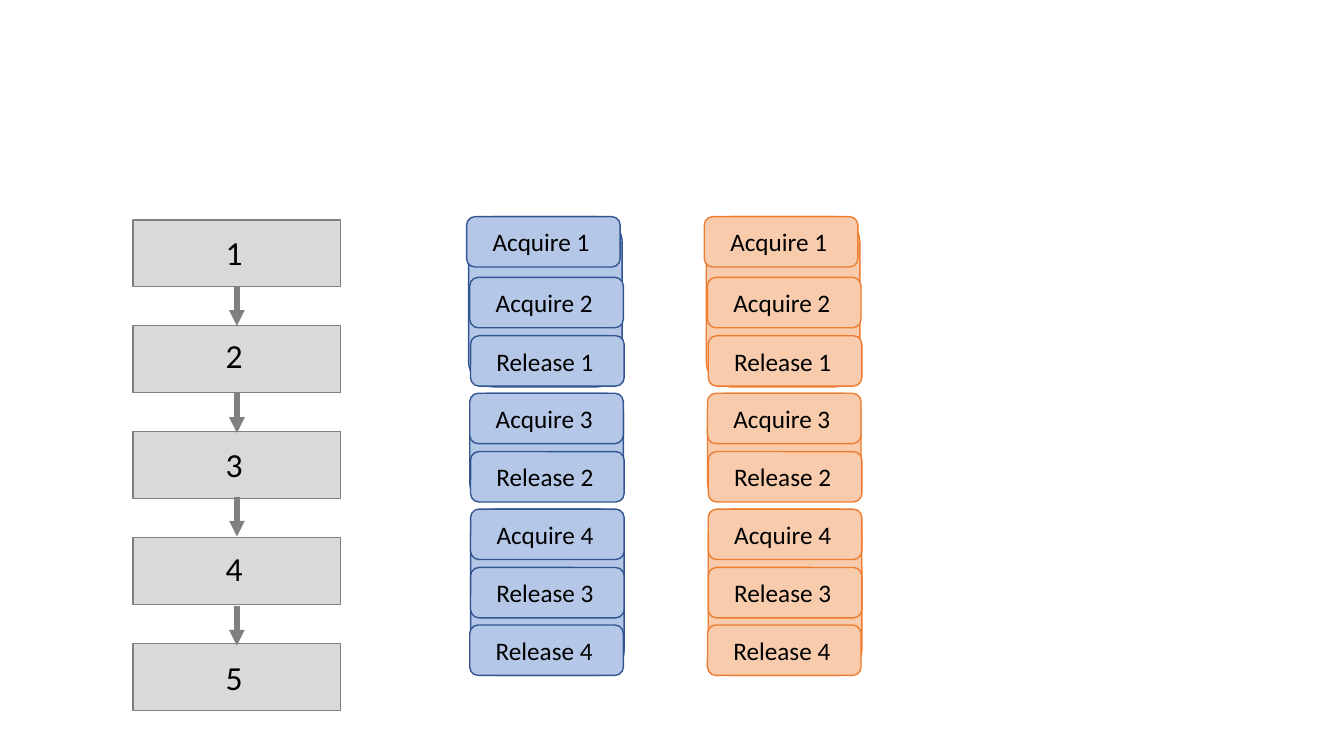
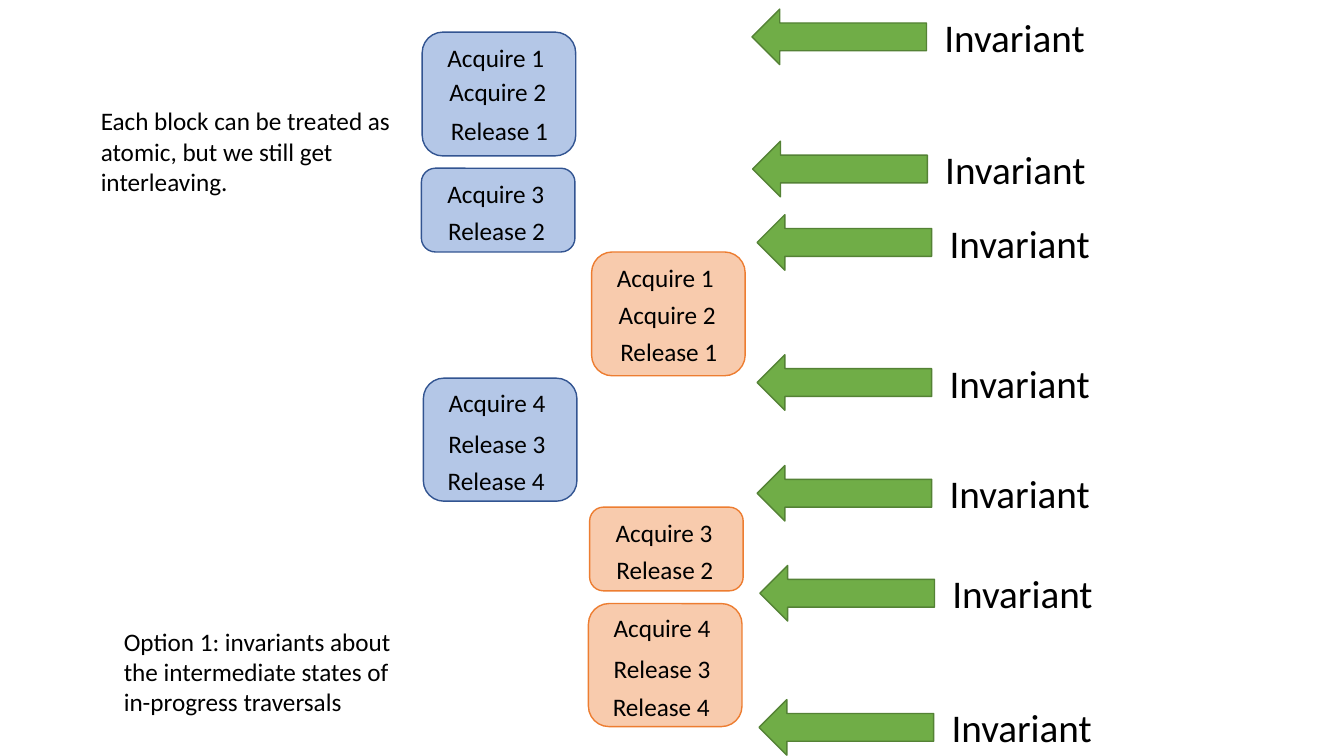
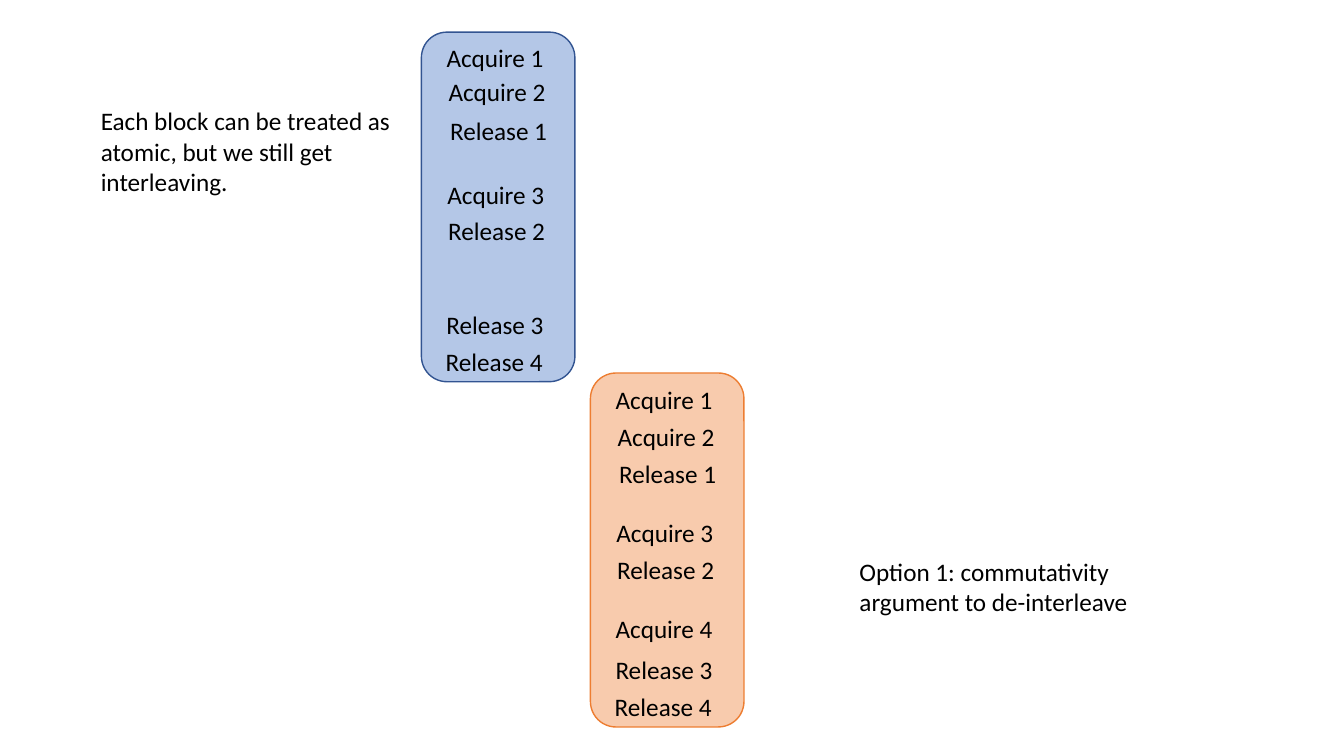
import lxml.etree
import pptx
import pptx.dml.color
import pptx.enum.shapes
import pptx.enum.text
import pptx.oxml.ns
import pptx.util

Cm = pptx.util.Cm
SHAPE = pptx.enum.shapes.MSO_SHAPE
ALIGN = pptx.enum.text.PP_ALIGN

COLORS = {
    "text": "000000",
    "blue": "B4C7E7", "blue line": "325491",
    "orange": "F8CBAD", "orange line": "ED7D31",
    "gray": "D9D9D9", "gray line": "808080",
    "green": "70AD47", "green line": "548235",
}
FONT = "Calibri"
BLOCK_WIDTH = 3.87
PILL_HEIGHT = 1.27

# Horizontal shift of each label from the left edge of its block
LABEL_SHIFTS = {
    "Acquire 1": -0.27, "Acquire 2": -0.22, "Release 1": -0.18,
    "Acquire 3": -0.25, "Release 2": -0.23,
    "Acquire 4": -0.27, "Release 3": -0.27, "Release 4": -0.29,
}
OPERATIONS = list(LABEL_SHIFTS)
FIRST, SECOND, THIRD = OPERATIONS[:3], OPERATIONS[3:5], OPERATIONS[5:]


def rgb(name):
    return pptx.dml.color.RGBColor.from_string(COLORS[name])


def add_text(shapes, text, x, y, width, height, size=18, align=ALIGN.LEFT):
    box = shapes.add_textbox(Cm(x), Cm(y), Cm(width), Cm(height))
    box.text_frame.word_wrap = True
    para = box.text_frame.paragraphs[0]
    para.alignment = align
    span = para.add_run()
    span.text = text
    span.font.name = FONT
    span.font.size = pptx.util.Pt(size)
    span.font.color.rgb = rgb("text")


def add_shape(shapes, kind, color, x, y, width, height):
    shape = shapes.add_shape(kind, Cm(x), Cm(y), Cm(width), Cm(height))
    shape.shadow.inherit = False
    shape.fill.solid()
    shape.fill.fore_color.rgb = rgb(color)
    shape.line.color.rgb = rgb(color + " line")
    shape.line.width = pptx.util.Pt(1)


def add_down_arrow(shapes, x, y, length):
    arrow = shapes.add_connector(
        pptx.enum.shapes.MSO_CONNECTOR.STRAIGHT, Cm(x), Cm(y), Cm(x), Cm(y + length))
    arrow.line.color.rgb = rgb("gray line")
    arrow.line.width = pptx.util.Pt(3.75)
    qn = pptx.oxml.ns.qn
    lxml.etree.SubElement(arrow.line._get_or_add_ln(), qn("a:tailEnd"), type="triangle")
    lxml.etree.SubElement(arrow._element.spPr, qn("a:effectLst"))


def add_label(shapes, text, x, y):
    add_text(shapes, text, x, y, 4.25, 1.02, align=ALIGN.CENTER)


def add_note(shapes, text, x, y, height=2.57):
    add_text(shapes, text, x, y, 7.87, height)


def add_rounded(shapes, color, x, y, height):
    add_shape(shapes, SHAPE.ROUNDED_RECTANGLE, color, x, y, BLOCK_WIDTH, height)


def add_block(shapes, color, x, y, height, labels, offsets):
    """Draw an atomic block, each label at its offset below the top."""
    add_rounded(shapes, color, x, y, height)
    for label, offset in zip(labels, offsets):
        add_label(shapes, label, x + LABEL_SHIFTS[label], y + offset)


def add_invariant(shapes, x, y):
    add_shape(shapes, SHAPE.LEFT_ARROW, "green", x, y, 4.4, 1.4)
    add_text(shapes, "Invariant", x + 4.6, y - 0.02, 5.82, 1.45, size=28)


def add_steps(shapes):
    number_tops = [5.72, 8.31, 11.07, 13.67, 16.43]
    for index, number_top in enumerate(number_tops):
        add_shape(shapes, SHAPE.RECTANGLE, "gray", 3.35, 5.54 + 2.67 * index, 5.23, 1.68)
        add_text(shapes, str(index + 1), 5.44, number_top, 1.22, 1.27, size=24)
    for y in (7.21, 9.91, 12.52, 15.27):
        add_down_arrow(shapes, 5.97, y, 1)


def add_thread(shapes, color, x):
    """Draw one column of operations over the blocks that hold them."""
    for shift, y, height in ((0.05, 5.46, 4.29), (0.08, 9.91, 2.72), (0.1, 12.83, 4.19)):
        add_rounded(shapes, color, x + shift, y, height)
    shifts = [0, 0.08, 0.1, 0.08, 0.1, 0.1, 0.1, 0.08]
    tops = [5.46, 6.99, 8.46, 9.91, 11.38, 12.83, 14.3, 15.75]
    for label, shift, y in zip(OPERATIONS, shifts, tops):
        add_rounded(shapes, color, x + shift, y, PILL_HEIGHT)
        add_label(shapes, label, x + shift - 0.25, y + 0.13)


def add_atomic_note(shapes):
    add_note(shapes, "Each block can be treated as atomic, but we still get interleaving.",
             2.29, 2.54)


def build_locking(shapes):
    add_steps(shapes)
    add_thread(shapes, "blue", 11.76)
    add_thread(shapes, "orange", 17.75)


def build_interleaving(shapes):
    blocks = [
        ("blue", 10.64, 0.81, 3.12, FIRST, (0.13, 0.99, 1.98)),
        ("blue", 10.62, 4.24, 2.11, SECOND, (0.13, 1.07)),
        ("blue", 10.67, 9.53, 3.1, THIRD, (0.1, 1.14, 2.08)),
        ("orange", 14.91, 6.35, 3.12, FIRST, (0.13, 1.07, 2.01)),
        ("orange", 14.86, 12.78, 2.11, SECOND, (0.13, 1.07)),
        ("orange", 14.83, 15.21, 3.1, THIRD, (0.1, 1.14, 2.08)),
    ]
    for block in blocks:
        add_block(shapes.add_group_shape().shapes, *block)
    add_atomic_note(shapes)
    add_note(shapes, "Option 1: invariants about the intermediate states of "
             "in-progress traversals", 2.87, 15.65)
    for x, y in ((18.95, 0.23), (18.97, 3.56), (19.08, 5.41), (19.08, 8.94),
                 (19.08, 11.73), (19.15, 14.25), (19.13, 17.63)):
        add_invariant(shapes, x, y)


def build_commuted(shapes):
    add_block(shapes, "blue", 10.62, 0.81, 8.81, FIRST + SECOND + THIRD[1:],
              (0.13, 0.99, 1.98, 3.58, 4.5, 6.86, 7.8))
    add_block(shapes, "orange", 14.88, 9.4, 8.92, OPERATIONS,
              (0.15, 1.09, 2.03, 3.51, 4.45, 5.92, 6.96, 7.9))
    add_atomic_note(shapes)
    add_note(shapes, "Option 1: commutativity argument to de-interleave",
             21.41, 13.89, height=1.8)


def main():
    deck = pptx.Presentation()
    deck.slide_width, deck.slide_height = Cm(33.87), Cm(19.05)
    for build in (build_locking, build_interleaving, build_commuted):
        page = deck.slides.add_slide(deck.slide_layouts[6])
        build(page.shapes)
    deck.save("out.pptx")


if __name__ == "__main__":
    main()
